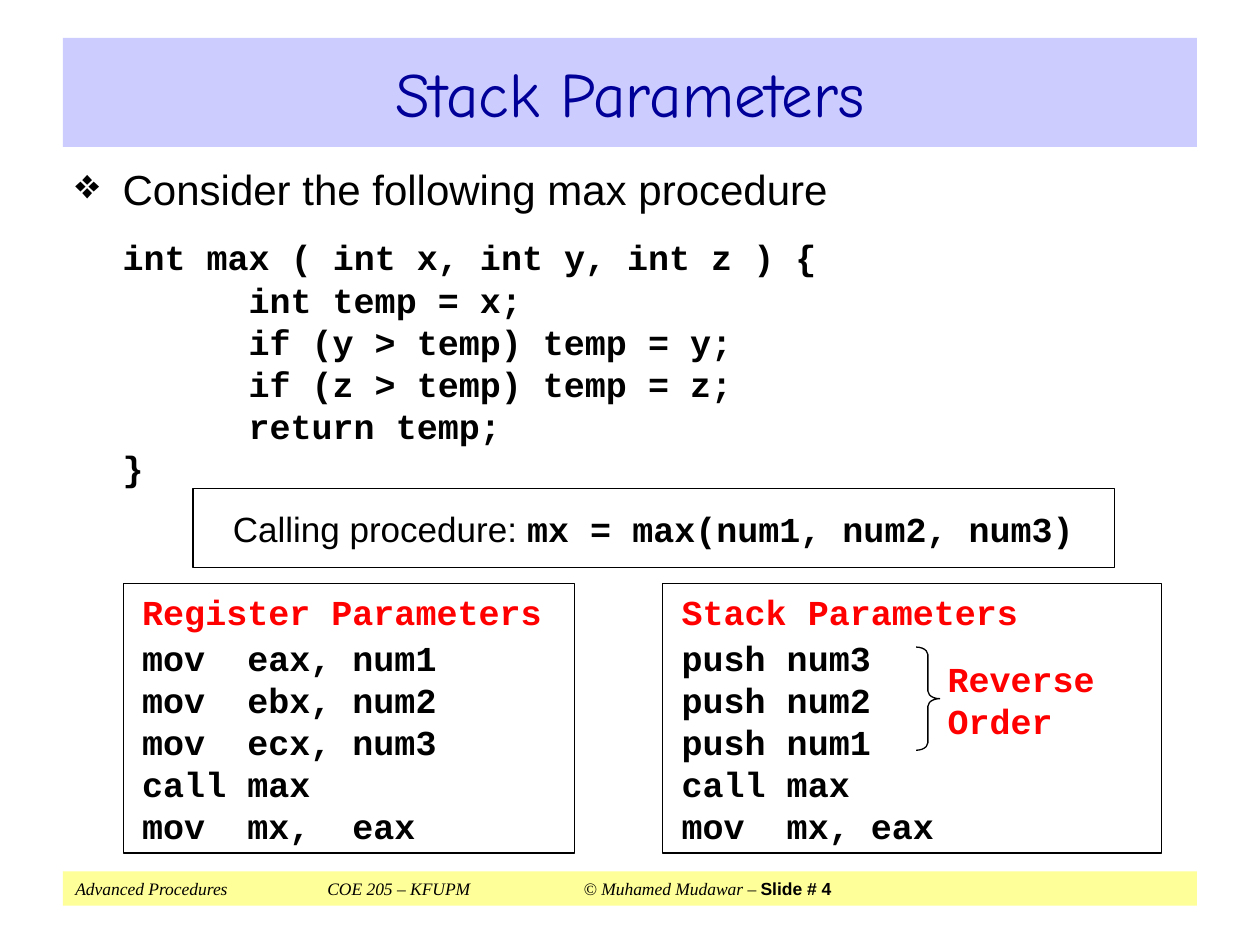
from lxml import etree
from pptx import Presentation
from pptx.dml.color import RGBColor
from pptx.enum.shapes import MSO_SHAPE
from pptx.enum.text import MSO_ANCHOR, PP_ALIGN
from pptx.oxml.ns import qn
from pptx.util import Pt

BLACK, RED, NAVY = "000000", "FF0000", "000099"
CODE = {"font": "Courier New", "size": 20, "bold": True}
SANS = {"font": "Arial", "size": 20}

TITLE = "Stack Parameters"
INTRO = "Consider the following max procedure"
PROCEDURE = [  # (indent level, code)
    (0, "int max ( int x, int y, int z ) {"),
    (1, "int temp = x;"),
    (1, "if (y > temp) temp = y;"),
    (1, "if (z > temp) temp = z;"),
    (1, "return temp;"),
    (0, "}"),
]
CALL = ("Calling procedure: ", "mx = max(num1, num2, num3)")
LISTINGS = [  # (left, width, heading, code lines)
    (70.5, 258, "Register Parameters",
     ["mov  eax, num1", "mov  ebx, num2", "mov  ecx, num3", "call max", "mov  mx,  eax"]),
    (378.75, 285, "Stack Parameters",
     ["push num3", "push num2", "push num1", "call max", "mov  mx, eax"]),
]
ORDER_NOTE = ["Reverse", "Order"]
FOOTER = ("Advanced Procedures\tCOE 205 – KFUPM\t© Muhamed Mudawar – ", "Slide # 4")
FOOTER_TABS = [144, 290.5]

MARGIN, CONTENT_WIDTH = 36, 648
HANG, CODE_INDENT = 27, 72
LISTING_TOP, LISTING_HEIGHT = 333.5, 154


def color(hex_code):
    return RGBColor.from_string(hex_code)


def add_box(slide, place, fill=None, line=None, geometry=MSO_SHAPE.RECTANGLE):
    box = slide.shapes.add_shape(geometry, *map(Pt, place))
    box.shadow.inherit = False
    if fill:
        box.fill.solid()
        box.fill.fore_color.rgb = color(fill)
    else:
        box.fill.background()
    if line:
        box.line.color.rgb = color(line)
        box.line.width = Pt(0.75)
    else:
        box.line.fill.background()
    return box


def set_frame(frame, inset_x=7.2, inset_y=3.6, anchor=MSO_ANCHOR.MIDDLE):
    frame.word_wrap = True
    frame.vertical_anchor = anchor
    frame.margin_left = frame.margin_right = Pt(inset_x)
    frame.margin_top = frame.margin_bottom = Pt(inset_y)
    return frame


def style(run, font, size, bold=False, italic=False, ink=BLACK):
    run.font.name = font
    run.font.size = Pt(size)
    run.font.bold = bold
    run.font.italic = italic
    run.font.color.rgb = color(ink)


def write(paragraph, *pieces, align=PP_ALIGN.LEFT, before=0):
    """Fill a paragraph with (text, style) pieces."""
    paragraph.alignment = align
    paragraph.space_before = Pt(before)
    for text, look in pieces:
        run = paragraph.add_run()
        run.text = text
        style(run, **look)


def indent(paragraph, left, first=0):
    properties = paragraph._p.get_or_add_pPr()
    properties.set("marL", str(Pt(left)))
    properties.set("indent", str(Pt(first)))
    return properties


def add_title(slide):
    banner = add_box(slide, (MARGIN, 21.75, CONTENT_WIDTH, 62.25), fill="CCCCFF")
    look = {"font": "Comic Neue", "size": 36, "ink": NAVY}
    write(set_frame(banner.text_frame).paragraphs[0], (TITLE, look), align=PP_ALIGN.CENTER)


def add_procedure(slide):
    body = slide.shapes.add_textbox(Pt(MARGIN), Pt(90), Pt(CONTENT_WIDTH), Pt(397.5))
    frame = set_frame(body.text_frame, anchor=MSO_ANCHOR.TOP)
    intro = frame.paragraphs[0]
    write(intro, (INTRO, {**SANS, "size": 24}), before=12)
    properties = indent(intro, HANG, -HANG)
    etree.SubElement(properties, qn("a:buChar")).set("char", "❖")
    for number, (level, code) in enumerate(PROCEDURE):
        paragraph = frame.add_paragraph()
        write(paragraph, (code, CODE), before=0 if number else 12.5)
        indent(paragraph, HANG + level * CODE_INDENT)


def add_call(slide):
    box = add_box(slide, (110.25, 279.25, 526.5, 45.25), line=BLACK)
    label, code = CALL
    write(set_frame(box.text_frame, 10.8, 0).paragraphs[0],
          (label, SANS), (code, CODE), align=PP_ALIGN.CENTER, before=12.5)


def add_listing(slide, left, width, heading, lines):
    box = add_box(slide, (left, LISTING_TOP, width, LISTING_HEIGHT), line=BLACK)
    frame = set_frame(box.text_frame, 10.8, 0)
    write(frame.paragraphs[0], (heading, {**CODE, "ink": RED}), before=2.5)
    for number, line in enumerate(lines):
        write(frame.add_paragraph(), (line, CODE), before=0 if number else 2.5)


def add_order_note(slide):
    brace = add_box(slide, (523.5, 369.75, 13.5, 59), line=BLACK,
                    geometry=MSO_SHAPE.RIGHT_BRACE)
    brace.adjustments[0] = 0.32
    note = slide.shapes.add_textbox(Pt(541.5), Pt(361), Pt(104.5), Pt(77))
    frame = set_frame(note.text_frame, 0, 0)
    for number, word in enumerate(ORDER_NOTE):
        paragraph = frame.add_paragraph() if number else frame.paragraphs[0]
        write(paragraph, (word, {**CODE, "ink": RED}))


def add_footer(slide):
    strip = add_box(slide, (MARGIN, 498, CONTENT_WIDTH, 19.5), fill="FFFF99")
    paragraph = set_frame(strip.text_frame, anchor=MSO_ANCHOR.TOP).paragraphs[0]
    credit, number = FOOTER
    write(paragraph,
          (credit, {"font": "Times New Roman", "size": 10, "italic": True}),
          (number, {"font": "Arial", "size": 10, "bold": True}), before=6.2)
    tabs = etree.SubElement(paragraph._p.get_or_add_pPr(), qn("a:tabLst"))
    for position in FOOTER_TABS:
        etree.SubElement(tabs, qn("a:tab"), pos=str(Pt(position)), algn="l")


def main():
    deck = Presentation()
    deck.slide_width, deck.slide_height = Pt(720), Pt(540)
    slide = deck.slides.add_slide(deck.slide_layouts[6])
    add_footer(slide)
    add_title(slide)
    add_procedure(slide)
    add_call(slide)
    for listing in LISTINGS:
        add_listing(slide, *listing)
    add_order_note(slide)
    deck.save("out.pptx")


if __name__ == "__main__":
    main()
